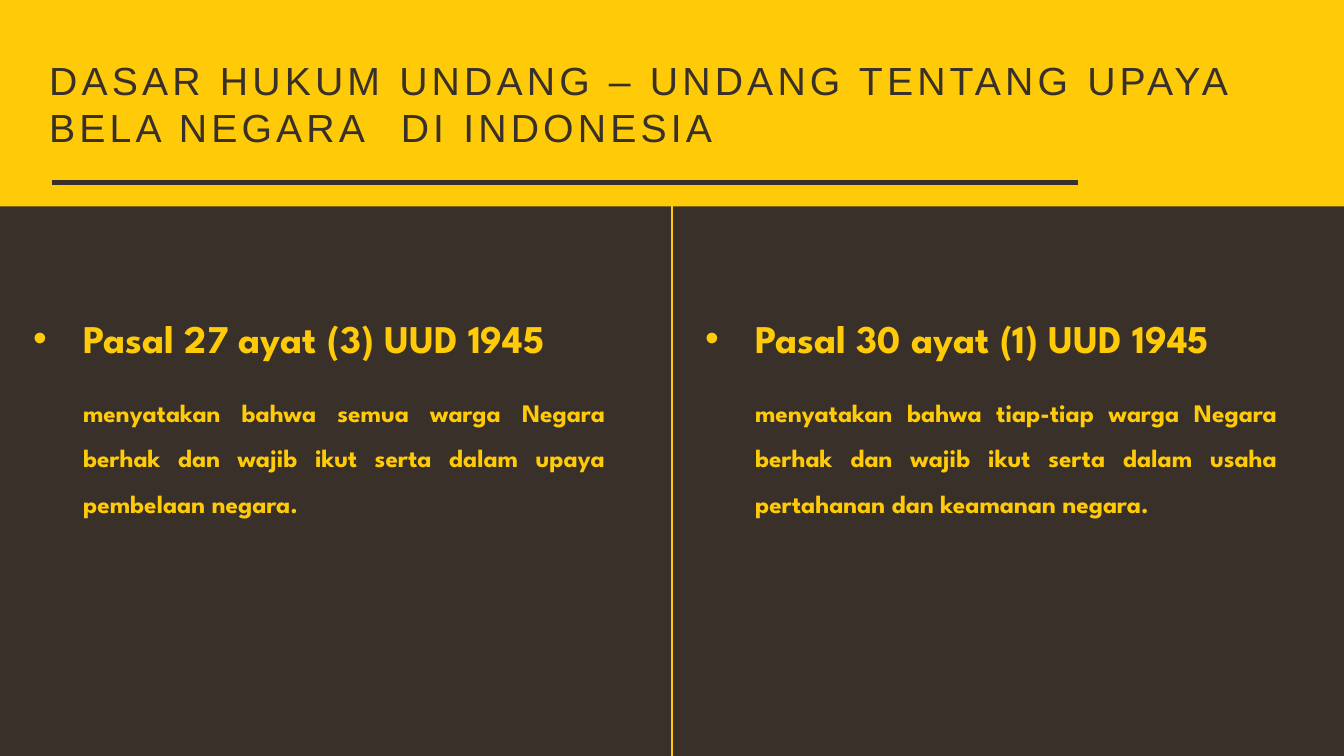
from dataclasses import dataclass

from lxml.etree import SubElement
from pptx import Presentation
from pptx.dml.color import RGBColor
from pptx.enum.shapes import MSO_CONNECTOR, MSO_SHAPE
from pptx.enum.text import MSO_ANCHOR, MSO_AUTO_SIZE, PP_ALIGN
from pptx.oxml.ns import qn
from pptx.util import Cm, Pt


@dataclass(frozen=True)
class Theme:
    yellow: RGBColor = RGBColor(0xFF, 0xCA, 0x08)
    brown: RGBColor = RGBColor(0x39, 0x30, 0x2A)
    title_font: str = "Arial"
    text_font: str = "League Spartan"
    large: Pt = Pt(28)
    normal: Pt = Pt(18)


THEME = Theme()
SLIDE_WIDTH, SLIDE_HEIGHT = Cm(33.87), Cm(19.05)
BAND_HEIGHT = Cm(5.2)

TITLE = "DASAR HUKUM UNDANG – UNDANG TENTANG UPAYA BELA NEGARA \tDI INDONESIA"
ARTICLES = [
    ("Pasal 27 ayat (3) UUD 1945",
     "menyatakan bahwa semua warga Negara berhak dan wajib ikut serta "
     "dalam upaya pembelaan negara."),
    ("Pasal 30 ayat (1) UUD 1945",
     "menyatakan bahwa tiap-tiap warga Negara berhak dan wajib ikut serta "
     "dalam usaha pertahanan dan keamanan negara."),
]


def place(shape, left, top, width, height):
    shape.left, shape.top, shape.width, shape.height = left, top, width, height


def set_font(paragraph, name, size, color, bold):
    font = paragraph.font
    font.name, font.size, font.bold = name, size, bold
    font.color.rgb = color


def add_title_band(slide, left, top, width, height):
    title = slide.shapes.title
    place(title, left, top, width, height)
    title.fill.solid()
    title.fill.fore_color.rgb = THEME.yellow
    frame = title.text_frame
    frame.text = TITLE
    frame.word_wrap = True
    frame.auto_size = MSO_AUTO_SIZE.NONE
    frame.vertical_anchor = MSO_ANCHOR.MIDDLE
    frame.margin_left = Cm(1.24)
    paragraph = frame.paragraphs[0]
    paragraph.alignment = PP_ALIGN.LEFT
    properties = paragraph._p.get_or_add_pPr()
    tabs = SubElement(properties, qn("a:tabLst"))
    SubElement(tabs, qn("a:tab"), pos=str(Cm(8.86)), algn="l")
    set_font(paragraph, THEME.title_font, THEME.large, THEME.brown, False)
    properties.find(qn("a:defRPr")).set("spc", "300")

    rule = slide.shapes.add_shape(
        MSO_SHAPE.FLOWCHART_PROCESS,
        left + Cm(1.3), top + Cm(4.54), Cm(25.88), Cm(0.13))
    rule.shadow.inherit = False
    rule.fill.solid()
    rule.fill.fore_color.rgb = THEME.brown
    rule.line.fill.background()


def fill_text(placeholder, text, size, bullet=None, indent=0):
    frame = placeholder.text_frame
    frame.text = text
    frame.word_wrap = True
    frame.auto_size = MSO_AUTO_SIZE.SHAPE_TO_FIT_TEXT
    frame.vertical_anchor = MSO_ANCHOR.TOP
    paragraph = frame.paragraphs[0]
    properties = paragraph._p.get_or_add_pPr()
    properties.set("marL", str(indent))
    properties.set("indent", str(-indent))
    if bullet:
        SubElement(properties, qn("a:buFont"), typeface="Arial")
        SubElement(properties, qn("a:buChar"), char=bullet)
    else:
        SubElement(properties, qn("a:buNone"))
    paragraph.alignment = PP_ALIGN.JUSTIFY
    paragraph.line_spacing = 1.5
    paragraph.space_before = Pt(0)
    set_font(paragraph, THEME.text_font, size, THEME.yellow, True)


def add_article(heading, body, article, left, top):
    heading_text, body_text = article
    place(heading, left + Cm(0.58), top + Cm(2.01), Cm(14.78), Cm(2.82))
    fill_text(heading, heading_text, THEME.large, "•", Cm(1.27))
    place(body, left + Cm(1.84), top + Cm(4.3), Cm(13.67), Cm(4.5))
    fill_text(body, body_text, THEME.normal)


def add_articles(slide, left, top, width, height):
    column_width = width // len(ARTICLES)
    for column, article in enumerate(ARTICLES):
        heading = slide.placeholders[2 * column + 1]
        body = slide.placeholders[2 * column + 2]
        add_article(heading, body, article, left + column * column_width, top)

    middle = left + column_width
    divider = slide.shapes.add_connector(
        MSO_CONNECTOR.STRAIGHT, middle, top, middle, top + height)
    divider.line.color.rgb = THEME.yellow
    divider.line.width = Pt(0.75)
    SubElement(divider._element.spPr, qn("a:effectLst"))


def main():
    presentation = Presentation()
    presentation.slide_width, presentation.slide_height = SLIDE_WIDTH, SLIDE_HEIGHT
    comparison_layout = presentation.slide_layouts[4]
    slide = presentation.slides.add_slide(comparison_layout)
    slide.background.fill.solid()
    slide.background.fill.fore_color.rgb = THEME.brown
    add_title_band(slide, 0, 0, SLIDE_WIDTH, BAND_HEIGHT)
    add_articles(slide, 0, BAND_HEIGHT, SLIDE_WIDTH, SLIDE_HEIGHT - BAND_HEIGHT)
    presentation.save("out.pptx")


if __name__ == "__main__":
    main()
